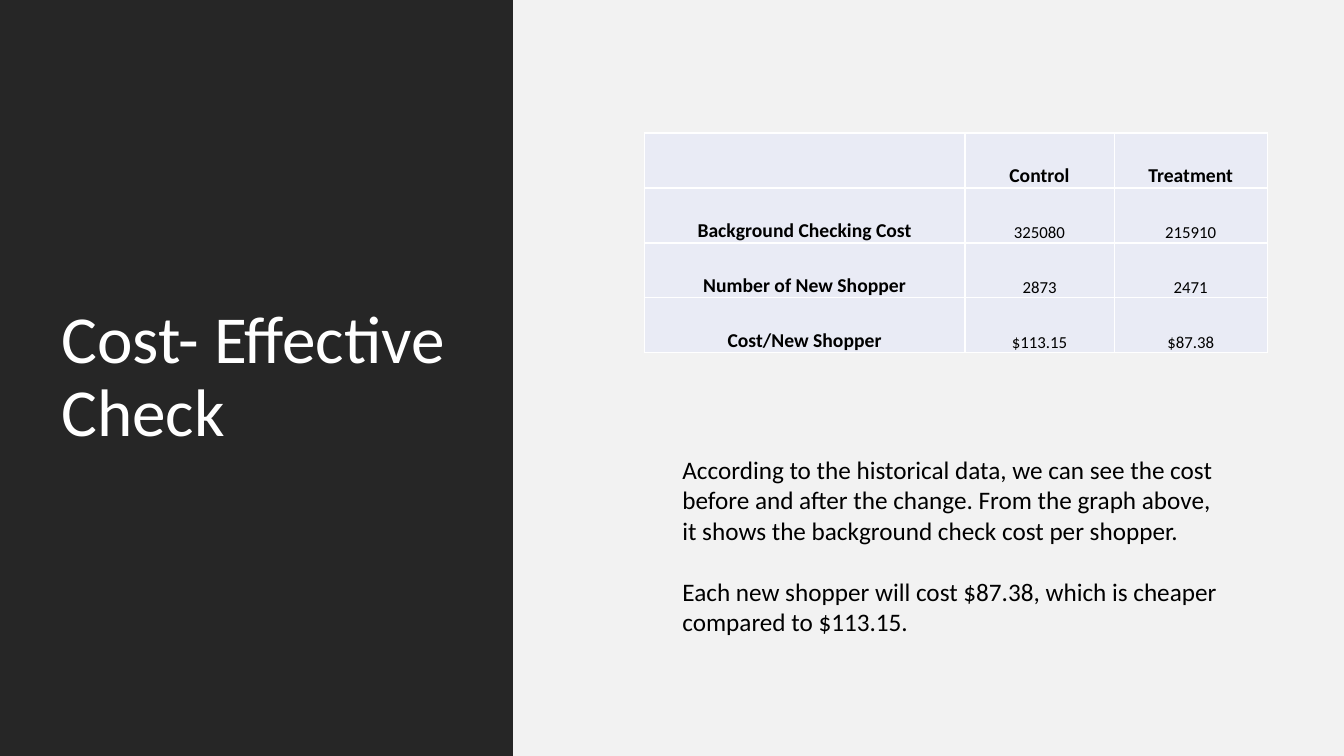
from pptx import Presentation
from pptx.dml.color import RGBColor
from pptx.enum.shapes import MSO_SHAPE as SHAPE
from pptx.enum.text import MSO_ANCHOR as ANCHOR, PP_ALIGN as ALIGN
from pptx.oxml import parse_xml
from pptx.oxml.ns import nsdecls
from pptx.util import Inches, Pt

# Content
TITLE = "Cost- Effective Check"
ROWS = [
    ("", "Control", "Treatment"),
    ("Background Checking Cost", "325080", "215910"),
    ("Number of New Shopper", "2873", "2471"),
    ("Cost/New Shopper", "$113.15", "$87.38"),
]
NOTES = [
    "According to the historical data, we can see the cost before and after "
    "the change. From the graph above, it shows the background check cost "
    "per shopper.",
    "Each new shopper will cost $87.38, which is cheaper compared to $113.15.",
]

# Style and layout
FONT = "Calibri"
DARK = RGBColor(0x26, 0x26, 0x26)
LIGHT = RGBColor(0xF2, 0xF2, 0xF2)
CELL = RGBColor(0xE9, 0xEB, 0xF5)
WHITE = RGBColor(0xFF, 0xFF, 0xFF)
BLACK = RGBColor(0, 0, 0)
SLIDE_W, SLIDE_H, SPLIT = 13.33, 7.5, 5.09
COL_WIDTHS = (3.18, 1.48, 1.52)
ROW_H = 0.545

prs = Presentation()
prs.slide_width, prs.slide_height = Inches(SLIDE_W), Inches(SLIDE_H)
s = prs.slides.add_slide(prs.slide_layouts[6])


def add_panel(left, width, color):
    sp = s.shapes.add_shape(SHAPE.RECTANGLE, Inches(left), 0,
                            Inches(width), Inches(SLIDE_H))
    sp.shadow.inherit = False
    sp.fill.solid()
    sp.fill.fore_color.rgb = color
    sp.line.fill.background()


def style(p, size, color, bold=False):
    for r in p.runs:
        r.font.name, r.font.size, r.font.bold = FONT, Pt(size), bold
        r.font.color.rgb = color


def add_text(box, paragraphs, size, color):
    tf = s.shapes.add_textbox(*map(Inches, box)).text_frame
    tf.word_wrap = True
    tf.text = "\n".join(paragraphs)
    for p in tf.paragraphs:
        style(p, size, color)
    return tf


def add_borders(cell):
    tc_pr = cell._tc.get_or_add_tcPr()
    for i, side in enumerate(("lnL", "lnR", "lnT", "lnB")):
        tc_pr.insert(i, parse_xml(
            f'<a:{side} {nsdecls("a")} w="12700"><a:solidFill>'
            f'<a:srgbClr val="{WHITE}"/></a:solidFill></a:{side}>'))


# Panels and title
add_panel(0, SPLIT, DARK)
add_panel(SPLIT, SLIDE_W - SPLIT, LIGHT)
tf = add_text((0.51, 0.7, 4.1, 6.1), [TITLE], 48, WHITE)
tf.vertical_anchor = ANCHOR.MIDDLE
tf.paragraphs[0].line_spacing = 0.9

# Cost table
table = s.shapes.add_table(
    len(ROWS), len(COL_WIDTHS), Inches(6.39), Inches(1.32),
    Inches(sum(COL_WIDTHS)), Inches(ROW_H * len(ROWS))).table
for column, width in zip(table.columns, COL_WIDTHS):
    column.width = Inches(width)
for i, row in enumerate(ROWS):
    table.rows[i].height = Inches(ROW_H)
    for j, text in enumerate(row):
        cell = table.cell(i, j)
        cell.fill.solid()
        cell.fill.fore_color.rgb = CELL
        cell.vertical_anchor = ANCHOR.BOTTOM
        cell.margin_left = cell.margin_right = cell.margin_top = Inches(0.01)
        cell.margin_bottom = 0
        cell.text = text
        p = cell.text_frame.paragraphs[0]
        p.alignment = ALIGN.CENTER
        heading = i == 0 or j == 0
        style(p, 14 if heading else 12, BLACK, heading)
        add_borders(cell)

# Explanation
tf = add_text((6.67, 4.46, 5.63, 1.92), NOTES, 18, BLACK)
tf.paragraphs[1].space_before = Pt(22)

prs.save("out.pptx")
